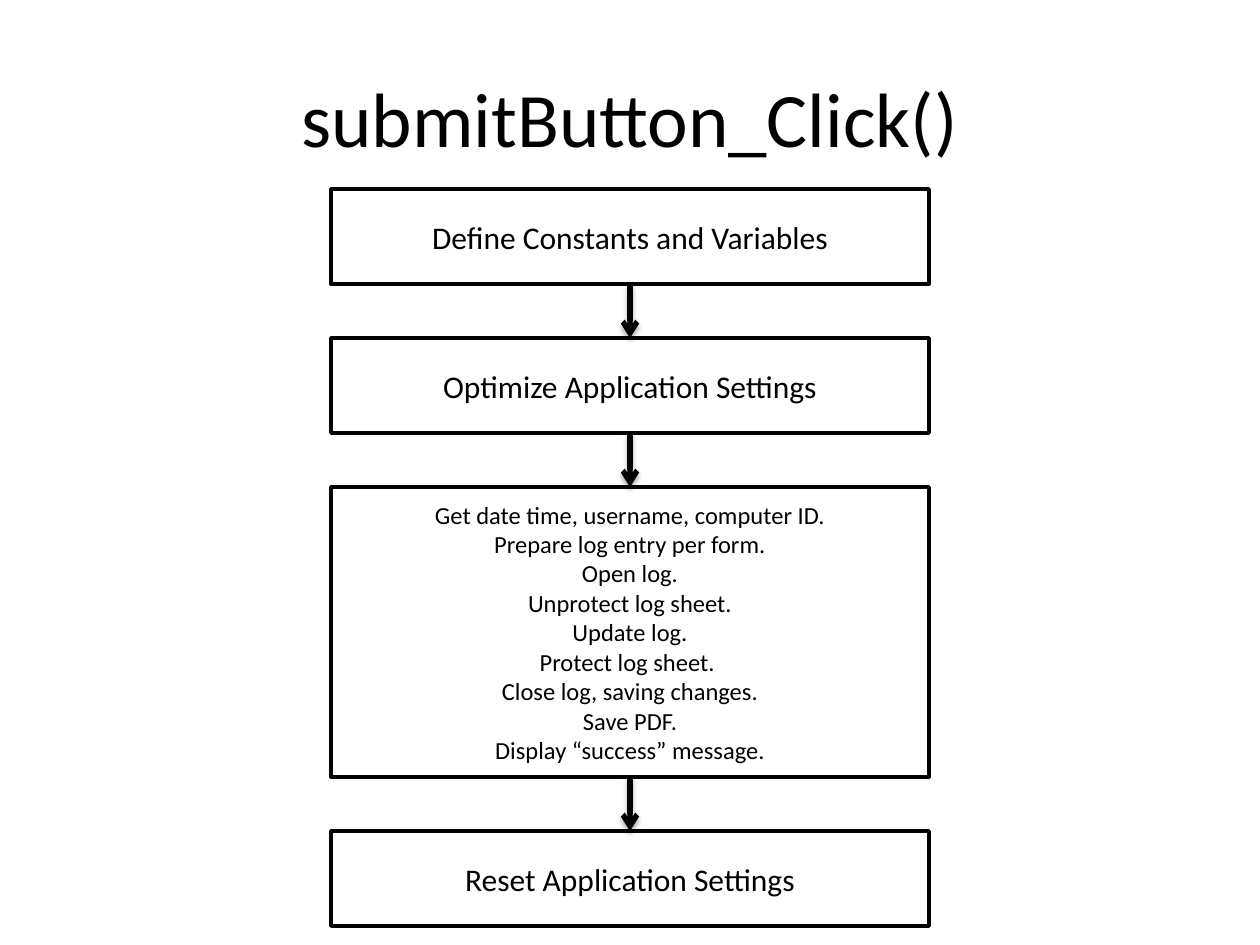
from dataclasses import dataclass
from itertools import pairwise

from lxml.etree import SubElement
from pptx import Presentation
from pptx.dml.color import RGBColor
from pptx.enum.shapes import MSO_CONNECTOR as Connector, MSO_SHAPE as Shape
from pptx.enum.text import MSO_ANCHOR as Anchor, PP_ALIGN as Align
from pptx.oxml.ns import qn
from pptx.util import Emu, Pt


@dataclass(frozen=True)
class Theme:
    font: str = "Calibri"
    ink: RGBColor = RGBColor(0, 0, 0)
    paper: RGBColor = RGBColor(255, 255, 255)
    title_size: int = 44
    step_size: int = 18
    detail_size: int = 14
    border: int = 2
    arrow: int = 3


THEME = Theme()
PX_PER_INCH = 126
SLIDE_WIDTH, SLIDE_HEIGHT = 1260, 945
TITLE_BOX = (63, 38, 1134, 158)
FLOW_BOX = (331, 189, 598, 736)
STEP_GAP = 54
STEP_HEIGHT = 95
DETAIL_HEIGHT = 290

STEPS = [
    ("Define Constants and Variables", STEP_HEIGHT, THEME.step_size),
    ("Optimize Application Settings", STEP_HEIGHT, THEME.step_size),
    (
        "Get date time, username, computer ID.\n"
        "Prepare log entry per form.\n"
        "Open log.\n"
        "Unprotect log sheet.\n"
        "Update log.\n"
        "Protect log sheet. \n"
        "Close log, saving changes.\n"
        "Save PDF.\n"
        "Display “success” message.",
        DETAIL_HEIGHT,
        THEME.detail_size,
    ),
    ("Reset Application Settings", STEP_HEIGHT, THEME.step_size),
]


def px(length):
    return Emu(round(length * 914400 / PX_PER_INCH))


def write_text(shape, text, *, size, color=THEME.ink, align=Align.CENTER, anchor=Anchor.MIDDLE):
    frame = shape.text_frame
    frame.text = text
    frame.word_wrap = True
    frame.vertical_anchor = anchor
    for paragraph in frame.paragraphs:
        paragraph.alignment = align
        for run in paragraph.runs:
            run.font.name = THEME.font
            run.font.size = Pt(size)
            run.font.color.rgb = color


def place_title(slide, box, text):
    title = slide.shapes.title
    title.left, title.top, title.width, title.height = map(px, box)
    write_text(title, text, size=THEME.title_size)


def add_step(slide, box, text, size):
    shape = slide.shapes.add_shape(Shape.RECTANGLE, *map(px, box))
    shape.shadow.inherit = False
    shape.fill.solid()
    shape.fill.fore_color.rgb = THEME.paper
    shape.line.color.rgb = THEME.ink
    shape.line.width = Pt(THEME.border)
    write_text(shape, text, size=size)
    return shape


def add_arrow(slide, upper, lower):
    arrow = slide.shapes.add_connector(Connector.STRAIGHT, 0, 0, 0, 0)
    arrow.begin_connect(upper, 2)
    arrow.end_connect(lower, 0)
    arrow.line.color.rgb = THEME.ink
    arrow.line.width = Pt(THEME.arrow)
    SubElement(arrow.line._get_or_add_ln(), qn("a:tailEnd"), type="arrow")
    effects = SubElement(arrow._element.spPr, qn("a:effectLst"))
    shadow = SubElement(
        effects,
        qn("a:outerShdw"),
        blurRad=str(Pt(3.1)),
        dist=str(Pt(1.8)),
        dir="5400000",
        rotWithShape="0",
    )
    color = SubElement(shadow, qn("a:srgbClr"), val=str(THEME.ink))
    SubElement(color, qn("a:alpha"), val="35000")


def build_flow(slide, box, steps):
    left, top, width, _ = box
    shapes = []
    for text, height, size in steps:
        shapes.append(add_step(slide, (left, top, width, height), text, size))
        top += height + STEP_GAP
    for upper, lower in pairwise(shapes):
        add_arrow(slide, upper, lower)


def main():
    presentation = Presentation()
    presentation.slide_width = px(SLIDE_WIDTH)
    presentation.slide_height = px(SLIDE_HEIGHT)
    slide = presentation.slides.add_slide(presentation.slide_layouts[5])
    slide.background.fill.solid()
    slide.background.fill.fore_color.rgb = THEME.paper
    place_title(slide, TITLE_BOX, "submitButton_Click()")
    build_flow(slide, FLOW_BOX, STEPS)
    presentation.save("out.pptx")


if __name__ == "__main__":
    main()
